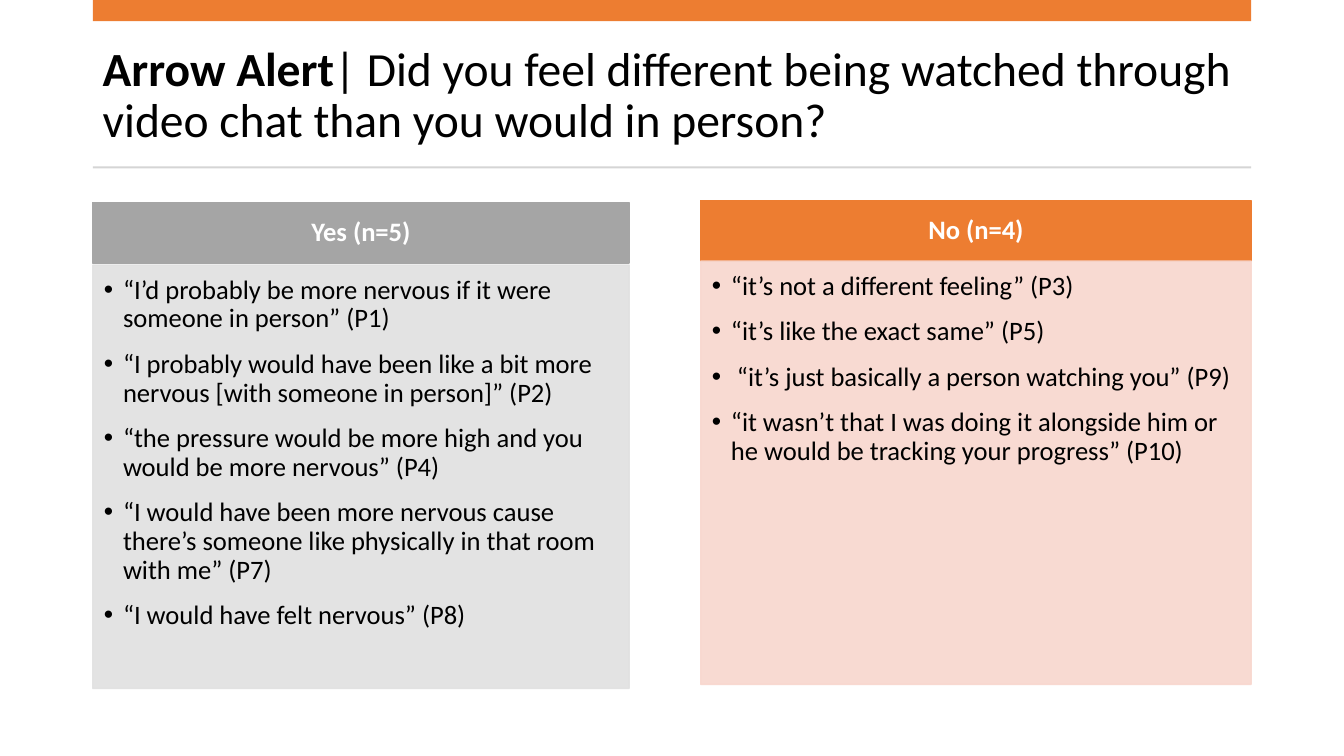
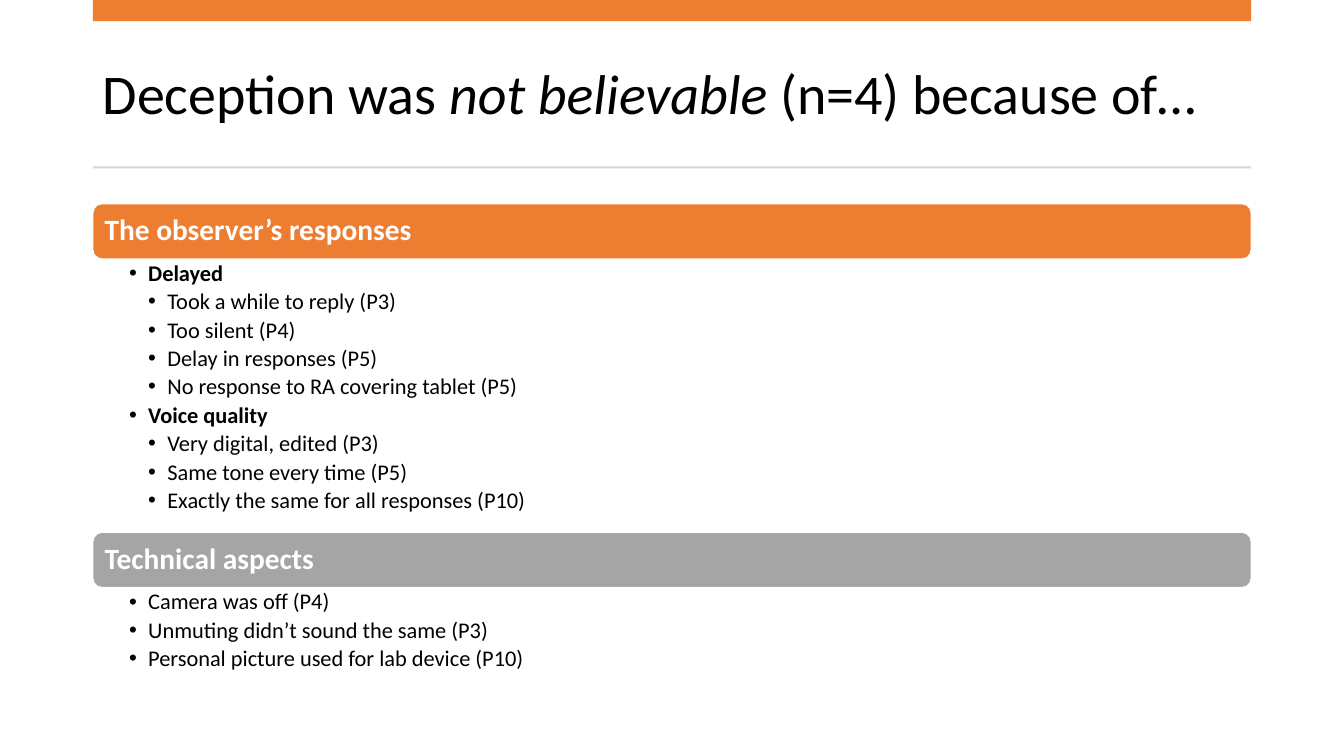
from lxml.etree import SubElement
from pptx import Presentation
from pptx.dml.color import RGBColor
from pptx.enum.shapes import MSO_SHAPE
from pptx.enum.text import MSO_ANCHOR, PP_ALIGN
from pptx.oxml.ns import qn
from pptx.util import Inches, Pt

FONT = "Calibri"
ORANGE, GRAY, RULE = "ED7D31", "A5A5A5", "D5D5D5"
PALE_ORANGE, PALE_GRAY = "F8D7CE", "E1E1E1"
BLACK, WHITE = "000000", "FFFFFF"
LEFT, WIDTH = 0.92, 11.49
INDENT = 0.19

# Title spans are (text, style), where style is "", "bold" or "italic".
WATCHED_TITLE = [
    ("Arrow Alert", "bold"),
    ("| Did you feel different being watched through video chat than you would in person?", ""),
]
ANSWERS = [
    {"head": "No (n=4)", "at": (6.95, 1.99), "width": 5.46, "gap": 0,
     "colour": ORANGE, "pale": PALE_ORANGE,
     "quotes": [
         "“it’s not a different feeling” (P3)",
         "“it’s like the exact same” (P5)",
         " “it’s just basically a person watching you” (P9)",
         "“it wasn’t that I was doing it alongside him or he would be tracking your progress” (P10)",
     ]},
    {"head": "Yes (n=5)", "at": (LEFT, 2.01), "width": 5.32, "gap": 0.02,
     "colour": GRAY, "pale": PALE_GRAY,
     "quotes": [
         "“I’d probably be more nervous if it were someone in person” (P1)",
         "“I probably would have been like a bit more nervous [with someone in person]” (P2)",
         "“the pressure would be more high and you would be more nervous” (P4)",
         "“I would have been more nervous cause there’s someone like physically in that room with me” (P7)",
         "“I would have felt nervous” (P8)",
     ]},
]

DECEPTION_TITLE = [
    ("Deception was ", ""),
    ("not believable ", "italic"),
    ("(n=4) because of…", ""),
]
# Each reason is (level, text, style).
REASONS = [
    ("The observer’s responses", ORANGE, 2.71, [
        (1, "Delayed", "bold"),
        (2, "Took a while to reply (P3)", ""),
        (2, "Too silent (P4)", ""),
        (2, "Delay in responses (P5)", ""),
        (2, "No response to RA covering tablet (P5)", ""),
        (1, "Voice quality", "bold"),
        (2, "Very digital, edited (P3)", ""),
        (2, "Same tone every time (P5)", ""),
        (2, "Exactly the same for all responses (P10)", ""),
    ]),
    ("Technical aspects", GRAY, 0.9, [
        (1, "Camera was off (P4)", ""),
        (1, "Unmuting didn’t sound the same (P3)", ""),
        (1, "Personal picture used for lab device (P10)", ""),
    ]),
]


def rgb(colour):
    return RGBColor.from_string(colour)


def add_block(page, at, fill, line=None, kind=MSO_SHAPE.RECTANGLE):
    block = page.shapes.add_shape(kind, *map(Inches, at))
    block.shadow.inherit = False
    block.fill.solid()
    block.fill.fore_color.rgb = rgb(fill)
    if line:
        block.line.color.rgb = rgb(line)
        block.line.width = Pt(1)
    else:
        block.line.fill.background()
    return block


def set_opacity(shape, percent):
    """Apply one opacity to both the fill and the outline."""
    for colour in shape.element.spPr.iter(qn("a:srgbClr")):
        SubElement(colour, qn("a:alpha"), val=str(percent * 1000))


def set_frame(shape, insets, anchor=MSO_ANCHOR.TOP):
    """Set insets (left, top, right, bottom) and give back the text frame."""
    frame = shape.text_frame
    frame.word_wrap = True
    frame.vertical_anchor = anchor
    (frame.margin_left, frame.margin_top,
     frame.margin_right, frame.margin_bottom) = map(Inches, insets)
    return frame


def write(para, spans, size, colour=BLACK, align=PP_ALIGN.LEFT):
    para.alignment = align
    para.line_spacing = 0.9
    for text, style in spans:
        span = para.add_run()
        span.text = text
        span.font.name = FONT
        span.font.size = Pt(size)
        span.font.color.rgb = rgb(colour)
        span.font.bold = style == "bold"
        span.font.italic = style == "italic"


def write_bullets(frame, items, size, space_after):
    for index, (level, text, style) in enumerate(items):
        para = frame.add_paragraph() if index else frame.paragraphs[0]
        write(para, [(text, style)], size)
        para.space_after = Pt(space_after)
        properties = para._p.get_or_add_pPr()
        properties.set("marL", str(Inches(INDENT * level)))
        properties.set("indent", str(-Inches(INDENT)))
        SubElement(properties, qn("a:buFont"), typeface="Arial")
        SubElement(properties, qn("a:buChar"), char="•")


def add_page(deck, title, size):
    """Add a slide with the shared title, top band and rule."""
    page = deck.slides.add_slide(deck.slide_layouts[6])
    box = page.shapes.add_textbox(*map(Inches, (LEFT, 0.37, WIDTH, 1.18)))
    frame = set_frame(box, (0.1, 0.05, 0.1, 0.05), MSO_ANCHOR.MIDDLE)
    write(frame.paragraphs[0], title, size)
    add_block(page, (LEFT, 0, WIDTH, 0.21), ORANGE)
    add_block(page, (LEFT, 1.65, WIDTH, 0.02), RULE)
    return page


def add_answer(page, answer):
    left, top = answer["at"]
    width, head_height = answer["width"], 0.6
    head = add_block(page, (left, top, width, head_height), answer["colour"], answer["colour"])
    frame = set_frame(head, (0.15, 0.08, 0.15, 0.08), MSO_ANCHOR.MIDDLE)
    write(frame.paragraphs[0], [(answer["head"], "bold")], 19, WHITE, PP_ALIGN.CENTER)
    body_top = top + head_height + answer["gap"]
    body = add_block(page, (left, body_top, width, 4.2), answer["pale"], answer["pale"])
    set_opacity(body, 90)
    quotes = [(1, quote, "") for quote in answer["quotes"]]
    write_bullets(set_frame(body, (0.11, 0.11, 0.15, 0.17)), quotes, 19, 12)


def add_reasons(page, top):
    """Stack the heading bars, each followed by its bullets."""
    bar_height = 0.55
    for heading, colour, list_height, items in REASONS:
        bar = add_block(page, (LEFT, top, WIDTH, bar_height), colour, WHITE,
                        MSO_SHAPE.ROUNDED_RECTANGLE)
        frame = set_frame(bar, (0.09,) * 4, MSO_ANCHOR.MIDDLE)
        write(frame.paragraphs[0], [(heading, "bold")], 21, WHITE)
        top += bar_height
        box = page.shapes.add_textbox(*map(Inches, (LEFT, top, WIDTH, list_height)))
        write_bullets(set_frame(box, (0.36, 0.03, 0.16, 0.03)), items, 16, 3)
        top += list_height


def main():
    deck = Presentation()
    deck.slide_width, deck.slide_height = Inches(13.33), Inches(7.5)
    watched_page = add_page(deck, WATCHED_TITLE, 34)
    for answer in ANSWERS:
        add_answer(watched_page, answer)
    deception_page = add_page(deck, DECEPTION_TITLE, 40)
    add_reasons(deception_page, 2.02)
    deck.save("out.pptx")


if __name__ == "__main__":
    main()
